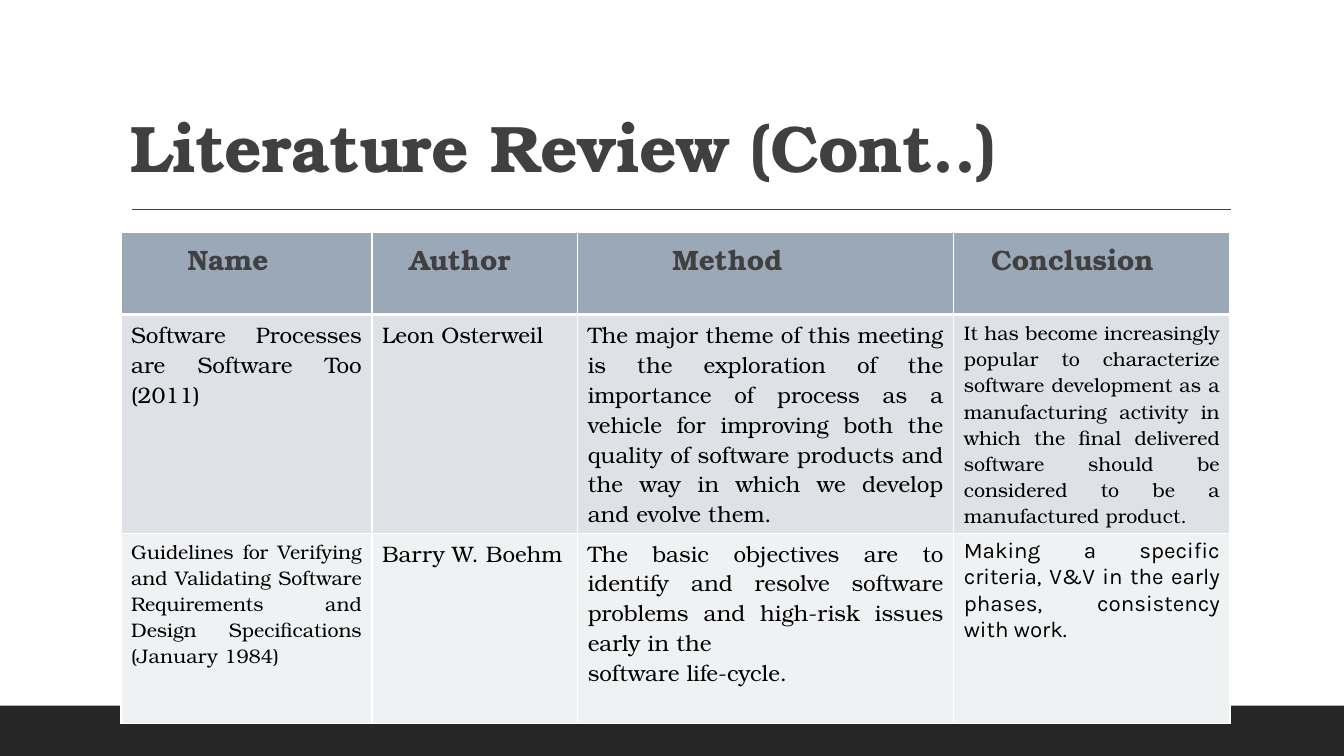
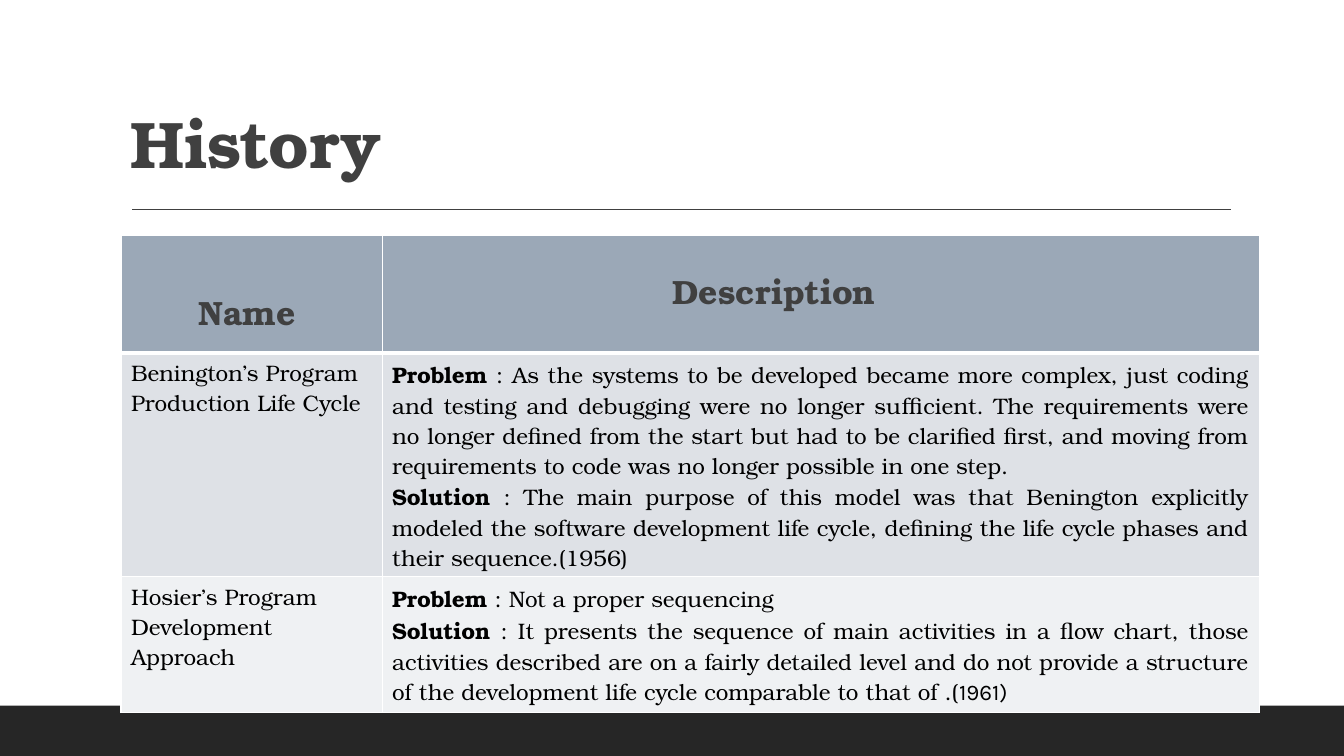
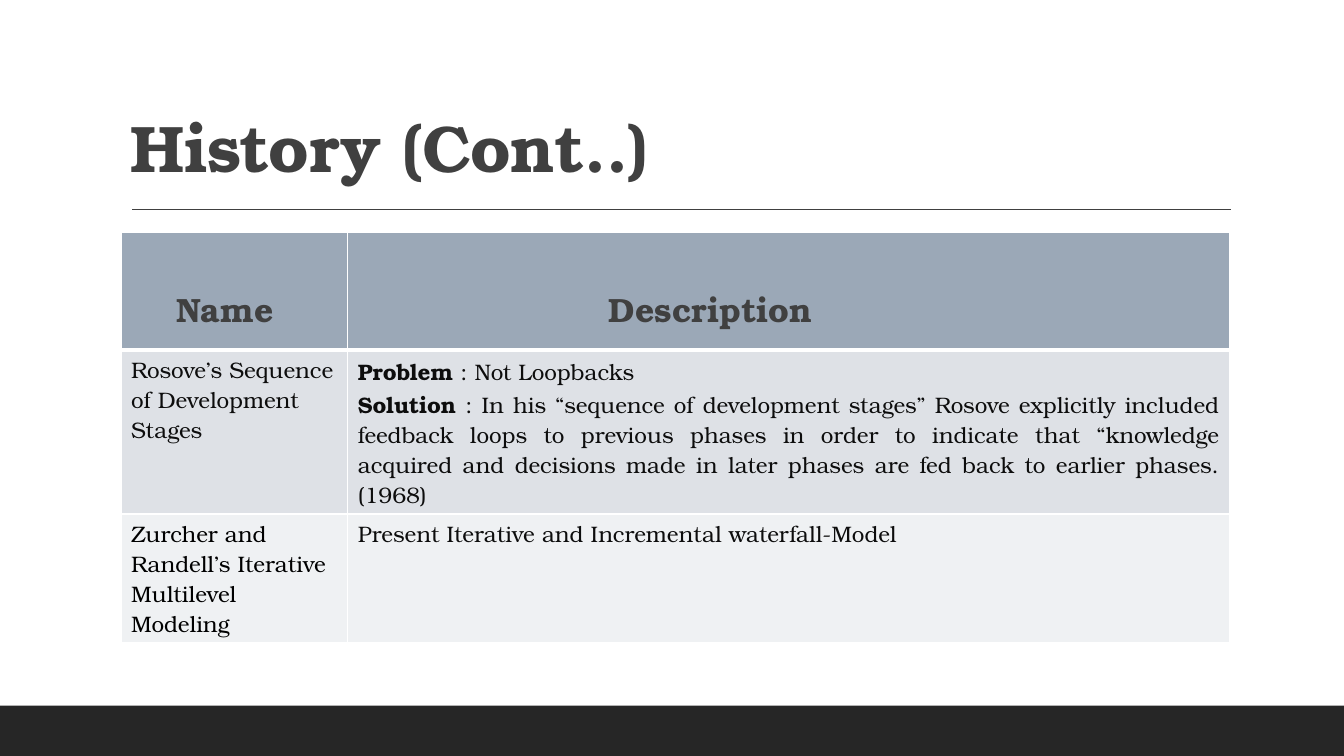
from lxml import etree
from pptx import Presentation
from pptx.dml.color import RGBColor
from pptx.enum import shapes, text
from pptx.oxml import ns
from pptx.util import Inches, Pt

HUES = {"band": "262626", "ink": "404040", "head": "9BA8B7", "odd": "DEE1E6",
        "even": "EFF1F3", "edge": "FFFFFF", "black": "000000", "soft": "0D0D0D"}
SERIF, SANS = "TeX Gyre Bonum", "Karla"
HEAD = {"size": 24, "bold": True, "hue": "ink"}
BODY = {"size": 16, "hue": "black"}
SOFT = {"size": 16, "hue": "soft"}
SMALL = {"size": 14, "hue": "black"}
JUST, LEFT = text.PP_ALIGN.JUSTIFY, text.PP_ALIGN.LEFT


def tint(hue):
    """Return the named colour."""
    return RGBColor.from_string(HUES[hue])


def style(font, size, hue, name=SERIF, bold=False):
    """Give a font its look."""
    for key, val in {"size": Pt(size), "name": name, "bold": bold}.items():
        setattr(font, key, val)
    font.color.rgb = tint(hue)


def write(frame, paras, fmt, align=LEFT):
    """Fill a text frame with paragraphs of (words, changes) runs."""
    for i, runs in enumerate(paras):
        para = frame.add_paragraph() if i else frame.paragraphs[0]
        para.alignment = align
        for words, more in runs:
            run = para.add_run()
            run.text = words
            style(run.font, **{**fmt, **more})


def plain(*lines):
    """Make paragraphs of one plain run each."""
    return [[(line, {})] for line in lines]


def label(name, words, *more):
    """Make a paragraph that opens with a bold name."""
    return [(name, {"bold": True}), (" : " + words, {}), *more]


def edge(cell, sides):
    """Draw the cell borders, given as points by side."""
    prop = cell._tc.get_or_add_tcPr()
    for side, wide in sides.items():
        line = etree.SubElement(prop, ns.qn("a:ln" + side), w=str(Pt(wide)))
        fill = etree.SubElement(line, ns.qn("a:solidFill"))
        etree.SubElement(fill, ns.qn("a:srgbClr"), val=HUES["edge"])


def base(deck, title, low=1.9):
    """Add a slide with its band, rule and title, whose box ends at low."""
    slide = deck.slides.add_slide(deck.slide_layouts[6])
    band = slide.shapes.add_shape(shapes.MSO_SHAPE.RECTANGLE, 0, Inches(7),
                                  deck.slide_width, Inches(0.5))
    band.shadow.inherit = False
    band.fill.solid()
    band.fill.fore_color.rgb = tint("band")
    band.line.fill.background()
    rule = slide.shapes.add_connector(shapes.MSO_CONNECTOR.STRAIGHT, Inches(1.31),
                                      Inches(2.08), Inches(12.21), Inches(2.08))
    rule.line.color.rgb = tint("ink")
    rule.line.width = Pt(1)
    etree.SubElement(rule._element.spPr, ns.qn("a:effectLst"))
    box = slide.shapes.add_textbox(Inches(1.2), Inches(low - 1.59), Inches(11), Inches(1.59))
    frame = box.text_frame
    frame.word_wrap = True
    frame.vertical_anchor = text.MSO_ANCHOR.BOTTOM
    write(frame, plain(title), {"size": 47, "hue": "ink", "bold": True})
    para = frame.paragraphs[0]
    para.line_spacing = 0.9
    para.runs[0].font._element.set("spc", "-50")
    return slide


def grid(slide, top, cols, rows, heads, body, size=24):
    """Add a table; heads are (words, left, top), body cells (paras, format, align)."""
    shape = slide.shapes.add_table(len(rows), len(cols), Inches(1.2), Inches(top),
                                   Inches(sum(cols)), Inches(sum(rows)))
    table = shape.table
    for col, wide in zip(table.columns, cols):
        col.width = Inches(wide)
    for row, high in zip(table.rows, rows):
        row.height = Inches(high)
    for c, (words, left, drop) in enumerate(heads):
        cell = table.cell(0, c)
        cell.margin_left, cell.margin_top = Inches(left), Inches(drop)
        write(cell.text_frame, plain(words), {**HEAD, "size": size})
    for r, line in enumerate(body, 1):
        for c, item in enumerate(line):
            write(table.cell(r, c).text_frame, *item)
    for r in range(len(rows)):
        for c in range(len(cols)):
            cell = table.cell(r, c)
            edge(cell, {"L": 1, "R": 1, "T": 3 if r == 1 else 1, "B": 1 if r else 3})
            cell.fill.solid()
            cell.fill.fore_color.rgb = tint(("head", "odd", "even")[r])


def review(deck):
    """Build the literature review slide."""
    heads = [("Name", 0.66, 0.05), ("Author", 0.37, 0.05),
             ("Method", 0.94, 0.05), ("Conclusion", 0.37, 0.05)]
    body = [
        [(plain("Software Processes are Software Too (2011)"), BODY, JUST),
         (plain("Leon Osterweil"), BODY, JUST),
         (plain("The major theme of this meeting is the exploration of the importance of "
                "process as a vehicle for improving both the quality of software products "
                "and the way in which we develop and evolve them."), BODY, JUST),
         (plain("It has become increasingly popular to characterize software development "
                "as a manufacturing activity in which the final delivered software should "
                "be considered to be a manufactured product."), SMALL, JUST)],
        [(plain("Guidelines for Verifying and Validating Software Requirements and Design "
                "Specifications (January 1984)"), SMALL, JUST),
         (plain("Barry W. Boehm"), BODY, JUST),
         (plain("The basic objectives are to identify and resolve software problems and "
                "high-risk issues early in the", "software life-cycle."), BODY, JUST),
         (plain("Making a specific criteria, V&V in the early phases, consistency with "
                "work."), {**BODY, "name": SANS}, JUST)]]
    grid(base(deck, "Literature Review (Cont..)"), 2.31, [2.49, 2.04, 3.73, 2.74],
         [0.81, 2.17, 1.89], heads, body, 20)


def past(deck):
    """Build the first history slide."""
    first = [
        label("Problem", "As the systems to be developed became more complex, just coding "
              "and testing and debugging were no longer sufficient. The requirements were no "
              "longer defined from the start but had to be clarified first, and moving from "
              "requirements to code was no longer possible in one step."),
        label("Solution", "The main purpose of this model was that Benington explicitly "
              "modeled the software development life cycle, defining the life cycle phases "
              "and their sequence.(1956)")]
    second = [
        label("Problem", "Not a proper sequencing"),
        label("Solution", "It presents the sequence of main activities in a flow chart, those "
              "activities described are on a fairly detailed level and do not provide a "
              "structure of the development life cycle comparable to that of .(",
              ("1961)", {"name": SANS}))]
    body = [[(plain("Benington’s Program Production Life Cycle"), BODY), (first, BODY, JUST)],
            [(plain("Hosier’s Program Development Approach"), BODY), (second, BODY, JUST)]]
    grid(base(deck, "History", 1.86), 2.34, [2.59, 8.7], [1.16, 2.22, 1.35],
         [("Name", 0.77, 0.5), ("Description", 2.88, 0.3)], body)


def later(deck):
    """Build the second history slide."""
    first = [
        label("Problem", "Not Loopbacks"),
        label("Solution", "In his “sequence of development stages” Rosove explicitly included "
              "feedback loops to previous phases in order to indicate that “knowledge "
              "acquired and decisions made in later phases are fed back to earlier phases. "
              "(1968)")]
    body = [[(plain("Rosove’s Sequence of Development Stages"), SOFT), (first, SOFT, JUST)],
            [(plain("Zurcher and Randell’s Iterative Multilevel Modeling"), BODY),
             (plain("Present Iterative and Incremental waterfall-Model"), SOFT)]]
    grid(base(deck, "History (Cont..)"), 2.31, [2.25, 8.75], [1.16, 1.63, 1.28],
         [("Name", 0.55, 0.5), ("Description", 2.59, 0.5)], body)


def main():
    """Build and save the deck."""
    deck = Presentation()
    deck.slide_width, deck.slide_height = Inches(13.33), Inches(7.5)
    for build in (review, past, later):
        build(deck)
    deck.save("out.pptx")


if __name__ == "__main__":
    main()
